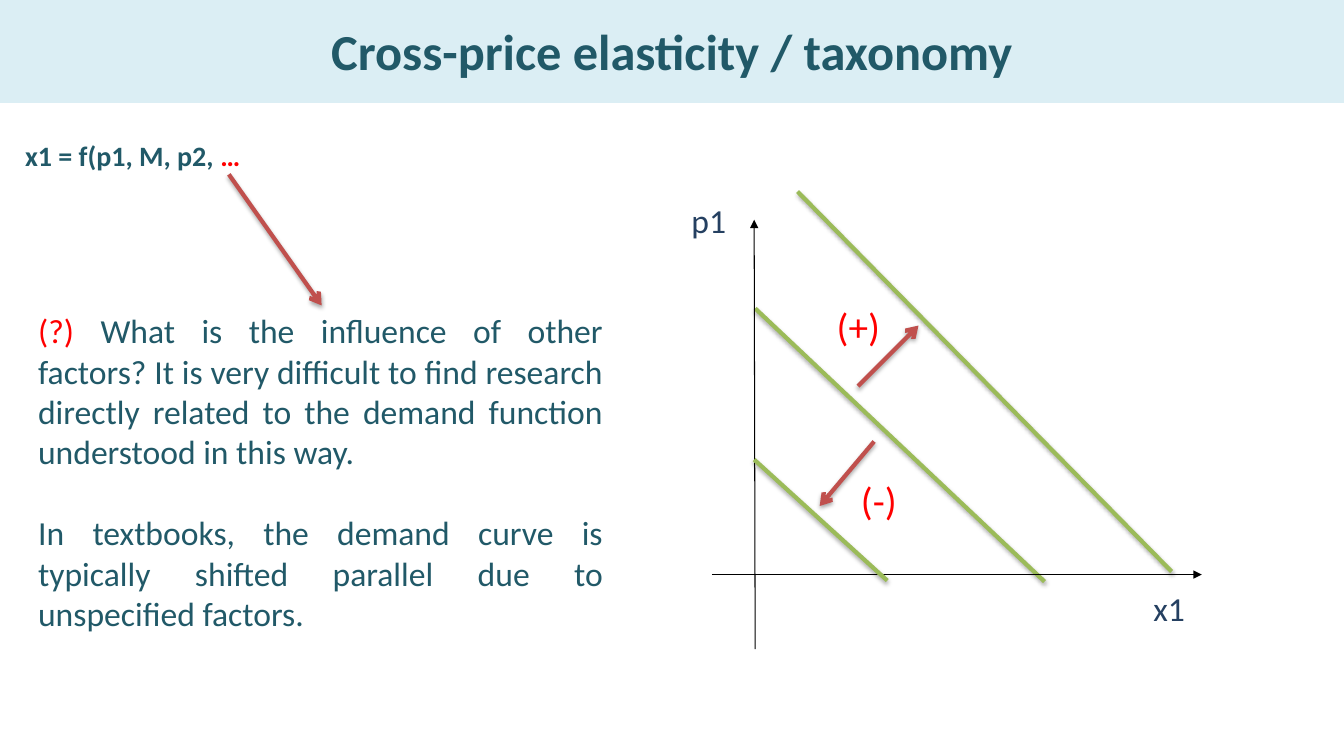
from lxml.etree import SubElement
from pptx import Presentation
from pptx.dml.color import RGBColor
from pptx.enum.shapes import MSO_CONNECTOR
from pptx.enum.text import MSO_ANCHOR, MSO_AUTO_SIZE, PP_ALIGN
from pptx.oxml.ns import qn
from pptx.util import Inches, Pt

FONT = "Calibri"
PALE_BLUE = RGBColor(0xDB, 0xEE, 0xF4)
TEAL = RGBColor(0x21, 0x59, 0x68)
NAVY = RGBColor(0x25, 0x40, 0x61)
RED = RGBColor(0xFF, 0x00, 0x00)
BRICK = RGBColor(0xC0, 0x50, 0x4D)
GREEN = RGBColor(0x9B, 0xBB, 0x59)
BLACK = RGBColor(0x00, 0x00, 0x00)


def add_run(p, text, size=24, color=TEAL, bold=False):
    r = p.add_run()
    r.text = text
    r.font.name = FONT
    r.font.size = Pt(size)
    r.font.bold = bold
    r.font.color.rgb = color


def add_text(s, box, *paragraphs, align=PP_ALIGN.LEFT, gap=0, wrap=True, **fmt):
    """Each paragraph is a list of (text, color) runs."""
    tf = s.shapes.add_textbox(*map(Inches, box)).text_frame
    tf.word_wrap = wrap
    for i, runs in enumerate(paragraphs):
        p = tf.add_paragraph() if i else tf.paragraphs[0]
        p.alignment = align
        p.space_before = Pt(gap if i else 0)
        for text, color in runs:
            add_run(p, text, color=color, **fmt)


def add_line(s, start, end, color, width=3, head=None, shadow=True):
    line = s.shapes.add_connector(
        MSO_CONNECTOR.STRAIGHT, *map(Inches, (*start, *end)))
    line.line.color.rgb = color
    line.line.width = Pt(width)
    if head:
        SubElement(line.line._get_or_add_ln(), qn("a:tailEnd"), type=head)
    effects = SubElement(line._element.spPr, qn("a:effectLst"))
    if shadow:
        outer = SubElement(effects, qn("a:outerShdw"), blurRad="40000",
                           dist="23000", dir="5400000", rotWithShape="0")
        clr = SubElement(outer, qn("a:srgbClr"), val=str(BLACK))
        SubElement(clr, qn("a:alpha"), val="35000")


def add_title(s, text):
    title = s.shapes.title
    title.left, title.top = Inches(0), Inches(-0.02)
    title.width, title.height = Inches(13.33), Inches(1.04)
    title.fill.solid()
    title.fill.fore_color.rgb = PALE_BLUE
    tf = title.text_frame
    tf.auto_size = MSO_AUTO_SIZE.NONE
    tf.vertical_anchor = MSO_ANCHOR.MIDDLE
    p = tf.paragraphs[0]
    p.alignment = PP_ALIGN.CENTER
    add_run(p, text, size=36, bold=True)


def main():
    prs = Presentation()
    prs.slide_width, prs.slide_height = Inches(13.33), Inches(7.5)
    s = prs.slides.add_slide(prs.slide_layouts[5])
    add_title(s, "Cross-price elasticity / taxonomy")

    # Demand function and the question it raises
    add_text(s, (0.15, 1.32, 9.81, 0.44),
             [("x1 = f(p1, M, p2, ", TEAL), ("…", RED)], size=20, bold=True)
    add_line(s, (2.27, 1.73), (3.19, 3.03), BRICK, head="arrow")
    add_text(s, (0.28, 3.03, 5.8, 3.33),
             [("(?) ", RED),
              ("What is the influence of other factors? It is very difficult "
               "to find research directly related to the demand function "
               "understood in this way.", TEAL)],
             [("In textbooks, the demand curve is typically shifted parallel "
               "due to unspecified factors.", TEAL)],
             align=PP_ALIGN.JUSTIFY, gap=29)

    # Middle demand curve, then the axes over it
    add_line(s, (10.36, 5.77), (7.49, 3.06), GREEN)
    for start, end in (((7.06, 5.7), (11.92, 5.7)),
                       ((7.49, 6.44), (7.48, 2.18))):
        add_line(s, start, end, BLACK, 0.75, head="triangle", shadow=False)
    add_text(s, (11.34, 5.78, 0.58, 0.5), [("x1", NAVY)])
    add_text(s, (6.76, 1.93, 0.55, 0.5), [("p1", NAVY)], wrap=False)

    # Shifted demand curves
    add_line(s, (7.91, 1.9), (11.62, 5.67), GREEN)
    add_line(s, (8.8, 5.76), (7.48, 4.56), GREEN)

    # Directions of the shift
    add_line(s, (8.51, 3.83), (9.11, 3.23), BRICK, head="arrow")
    add_line(s, (8.67, 4.38), (8.13, 5.02), BRICK, head="arrow")
    add_text(s, (8.2, 2.95, 0.75, 0.57), [("(+)", RED)], size=28)
    add_text(s, (8.44, 4.68, 0.75, 0.57), [("(-)", RED)], size=28)

    prs.save("out.pptx")


if __name__ == "__main__":
    main()
